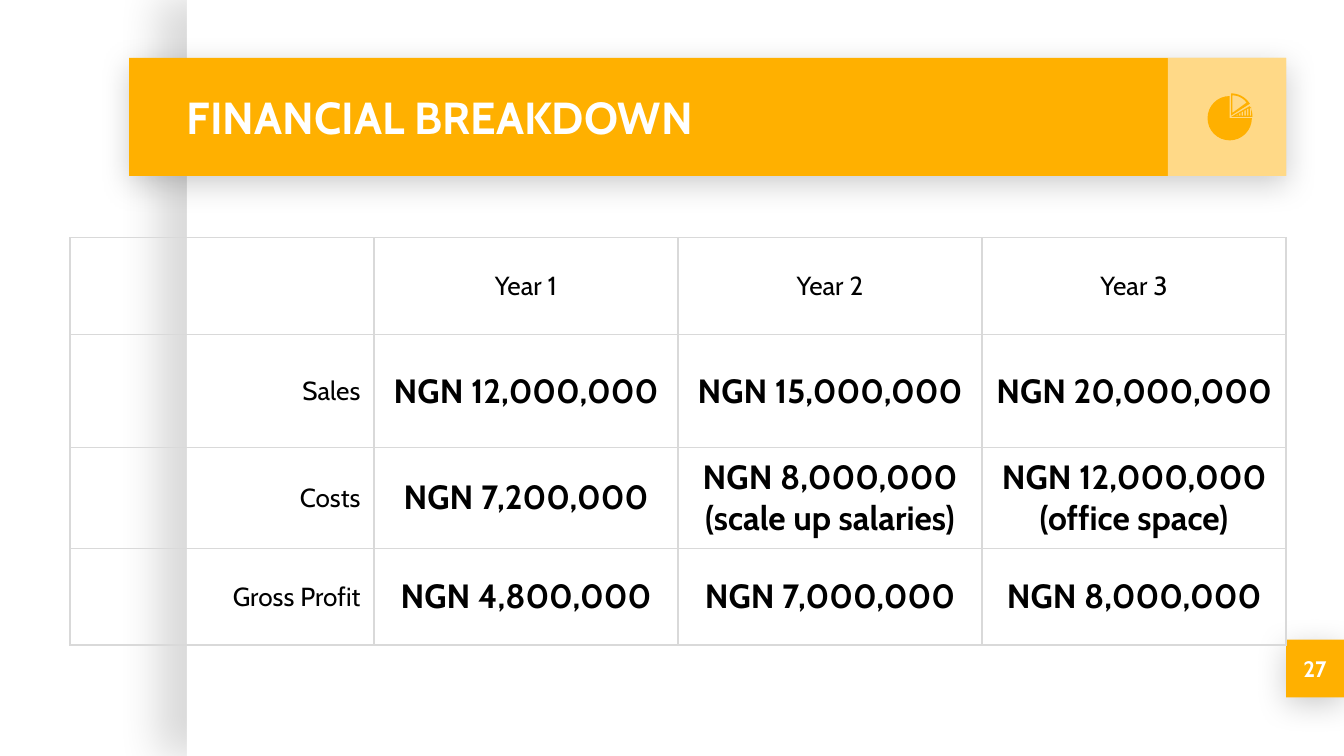
from math import cos, radians, sin
from typing import NamedTuple, Optional

from lxml.etree import SubElement
from pptx import Presentation
from pptx.dml.color import RGBColor
from pptx.enum.shapes import MSO_SHAPE
from pptx.enum.text import MSO_ANCHOR, MSO_AUTO_SIZE, PP_ALIGN
from pptx.oxml.ns import qn
from pptx.util import Inches, Pt

WHITE = RGBColor(0xFF, 0xFF, 0xFF)
BLACK = RGBColor(0x00, 0x00, 0x00)
AMBER = RGBColor(0xFF, 0xB0, 0x00)
GRID = RGBColor(0xD9, 0xD9, 0xD9)
FONT = "Cabin"


class Shadow(NamedTuple):
    opacity: int
    blur: float
    distance: float
    angle: int


class Block(NamedTuple):
    left: float
    top: float
    width: float
    height: float
    fill: RGBColor
    shadow: Optional[Shadow] = None
    opacity: int = 100


Point = tuple[float, float]
Outline = list[Point]

SLIDE_WIDTH = 10
SLIDE_HEIGHT = SLIDE_WIDTH * 9 / 16

LIFTED = Shadow(20, 16.9, 3.8, 90)
PANEL = Block(1.39, 0, 8.61, SLIDE_HEIGHT, WHITE, Shadow(15, 22.5, 15, 180))
NUMBER_TAB = Block(9.57, 4.76, 0.43, 0.43, AMBER, LIFTED)
BANNER = Block(0.96, 0.43, 8.61, 0.88, AMBER, LIFTED)
ICON_TILE = Block(8.69, 0.43, 0.88, 0.88, WHITE, opacity=53)

TABLE_WIDTH = 9.05
ROW_HEIGHTS = [0.72, 0.84, 0.72, 0.72]
FIGURES = [
    ["", "Year 1", "Year 2", "Year 3"],
    ["Sales", "NGN 12,000,000", "NGN 15,000,000", "NGN 20,000,000"],
    ["Costs", "NGN 7,200,000", "NGN 8,000,000\n(scale up salaries)",
     "NGN 12,000,000\n(office space)"],
    ["Gross Profit", "NGN 4,800,000", "NGN 7,000,000", "NGN 8,000,000"],
]


def set_alpha(color, percent: int) -> None:
    SubElement(color, qn("a:alpha"), val=str(percent * 1000))


def draw_block(page, block: Block):
    box = page.shapes.add_shape(
        MSO_SHAPE.RECTANGLE, Inches(block.left), Inches(block.top),
        Inches(block.width), Inches(block.height))
    box.shadow.inherit = False
    box.line.fill.background()
    box.fill.solid()
    box.fill.fore_color.rgb = block.fill
    properties = box.element.spPr
    if block.opacity < 100:
        set_alpha(properties.find(qn("a:solidFill"))[0], block.opacity)
    if block.shadow:
        outer = SubElement(
            properties.find(qn("a:effectLst")), qn("a:outerShdw"),
            blurRad=str(Pt(block.shadow.blur)), dist=str(Pt(block.shadow.distance)),
            dir=str(block.shadow.angle * 60000), algn="bl", rotWithShape="0")
        color = SubElement(outer, qn("a:srgbClr"), val=str(BLACK))
        set_alpha(color, block.shadow.opacity)
    return box


def write_text(frame, text: str, size: int, color: RGBColor, bold: bool,
               align: PP_ALIGN) -> None:
    """Write one paragraph for each line of the text."""
    for index, line in enumerate(text.split("\n")):
        para = frame.add_paragraph() if index else frame.paragraphs[0]
        para.alignment = align
        span = para.add_run()
        span.text = line
        span.font.name = FONT
        span.font.size = Pt(size)
        span.font.bold = bold
        span.font.color.rgb = color


def format_frame(frame) -> None:
    frame.word_wrap = True
    frame.auto_size = MSO_AUTO_SIZE.NONE
    frame.vertical_anchor = MSO_ANCHOR.MIDDLE
    frame.margin_left = frame.margin_right = Inches(0.1)
    frame.margin_top = frame.margin_bottom = Inches(0.1)


def draw_title(page) -> None:
    title = page.shapes.title
    title.left, title.top = Inches(1.29), Inches(0.43)
    title.width, title.height = Inches(7.37), Inches(0.88)
    format_frame(title.text_frame)
    write_text(title.text_frame, "FINANCIAL BREAKDOWN", 24, WHITE, True, PP_ALIGN.LEFT)
    page.shapes.element.append(title.element)  # in front of the banner


def format_cell(cell) -> None:
    cell.vertical_anchor = MSO_ANCHOR.MIDDLE
    cell.margin_left = cell.margin_right = Inches(0.1)
    cell.margin_top = cell.margin_bottom = Inches(0.07)
    properties = cell._tc.get_or_add_tcPr()
    for side in ("lnL", "lnR", "lnT", "lnB"):
        line = SubElement(properties, qn(f"a:{side}"), w=str(Pt(0.75)))
        SubElement(SubElement(line, qn("a:solidFill")), qn("a:srgbClr"), val=str(GRID))
    cell.fill.background()


def draw_table(page) -> None:
    columns = len(FIGURES[0])
    table = page.shapes.add_table(
        len(FIGURES), columns, Inches(0.52), Inches(1.77),
        Inches(TABLE_WIDTH), Inches(sum(ROW_HEIGHTS))).table
    table.first_row = table.horz_banding = False
    for column in table.columns:
        column.width = Inches(TABLE_WIDTH / columns)
    for row, (height, texts) in enumerate(zip(ROW_HEIGHTS, FIGURES)):
        table.rows[row].height = Inches(height)
        for column, text in enumerate(texts):
            cell = table.cell(row, column)
            format_cell(cell)
            is_figure = row > 0 and column > 0
            if text:
                write_text(cell.text_frame, text, 18 if is_figure else 14, BLACK,
                           is_figure, PP_ALIGN.CENTER if column else PP_ALIGN.RIGHT)


def sector(x: float, y: float, radius: float, start: int, end: int) -> Outline:
    """Return a pie slice, with angles in degrees counter-clockwise from the right."""
    steps = 24
    angles = [radians(start + (end - start) * step / steps) for step in range(steps + 1)]
    return [(x, y)] + [(x + radius * cos(a), y - radius * sin(a)) for a in angles]


def draw_outlines(page, outlines: list[Outline]) -> None:
    """Draw one shape, in which outlines inside the first one are holes."""
    contours = [[(Inches(x), Inches(y)) for x, y in outline] for outline in outlines]
    builder = page.shapes.build_freeform(*contours[0][0], scale=1.0)
    for index, contour in enumerate(contours):
        if index:
            builder.move_to(*contour[0])
        builder.add_line_segments(contour[1:], close=True)
    shape = builder.convert_to_shape()
    shape.shadow.inherit = False
    shape.fill.solid()
    shape.fill.fore_color.rgb = AMBER
    shape.line.fill.background()


def slice_bar(left: float) -> Outline:
    """Return a bar whose slanted top follows the upper edge of the lower slice."""
    right, bottom = left + 0.01, 0.86
    top_left, top_right = (0.88 - (x - 9.16) * 0.57 for x in (left, right))
    return [(left, bottom), (left, top_left), (right, top_right), (right, bottom)]


def draw_pie_icon(page) -> None:
    draw_outlines(page, [sector(9.15, 0.88, 0.165, 90, 360)])
    bars = [slice_bar(9.2 + 0.02 * index) for index in range(6)]
    draw_outlines(page, [sector(9.16, 0.87, 0.16, 0, 30)] + bars)
    draw_outlines(page, [sector(9.16, 0.86, 0.165, 32, 90),
                         sector(9.17, 0.84, 0.13, 36, 90)])


def main() -> None:
    deck = Presentation()
    deck.slide_width, deck.slide_height = Inches(SLIDE_WIDTH), Inches(SLIDE_HEIGHT)
    page = deck.slides.add_slide(deck.slide_layouts[5])
    draw_block(page, PANEL)
    number_tab = draw_block(page, NUMBER_TAB)
    format_frame(number_tab.text_frame)
    write_text(number_tab.text_frame, "27", 12, WHITE, True, PP_ALIGN.CENTER)
    draw_block(page, BANNER)
    draw_block(page, ICON_TILE)
    draw_title(page)
    draw_table(page)
    draw_pie_icon(page)
    deck.save("out.pptx")


if __name__ == "__main__":
    main()
